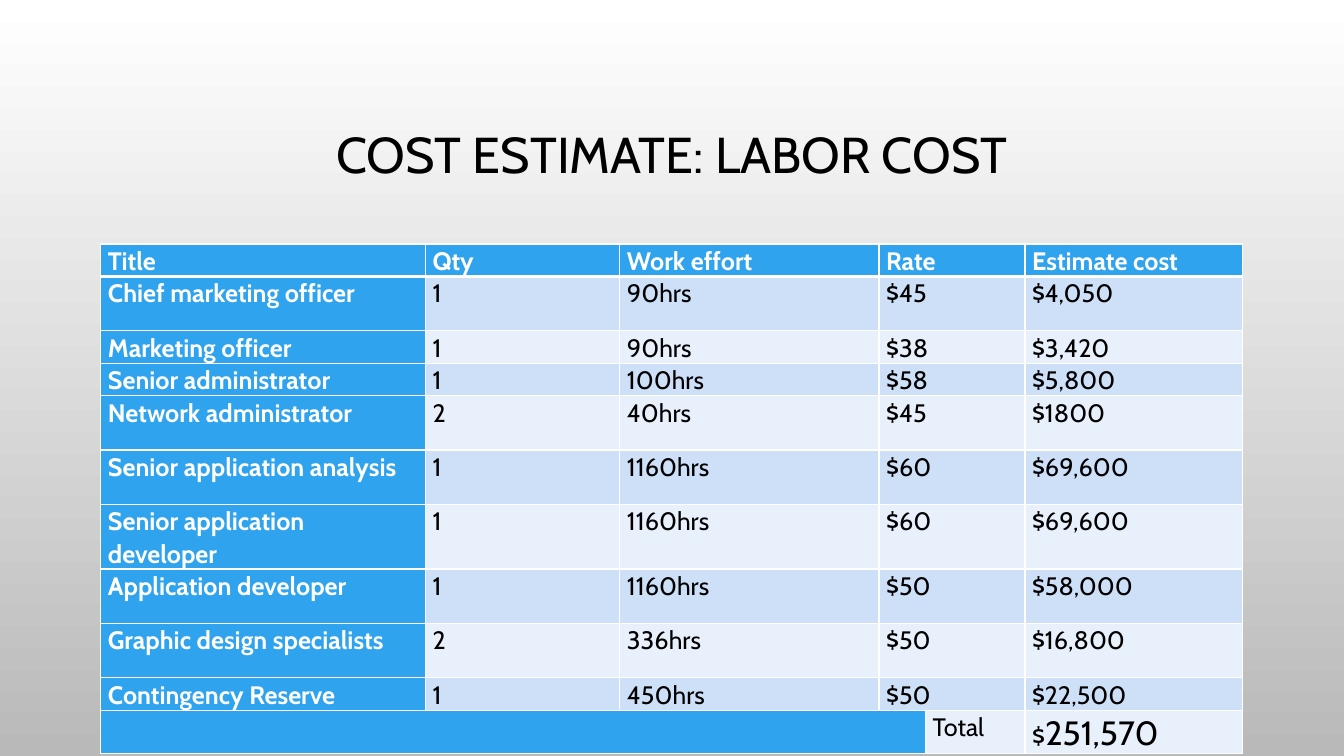
from pptx import Presentation
from pptx.dml.color import RGBColor
from pptx.enum.text import MSO_ANCHOR, PP_ALIGN
from pptx.oxml.ns import qn
from pptx.util import Cm, Pt
from lxml.etree import SubElement

# Content
TITLE = "COST ESTIMATE: LABOR COST"
HEADER = ("Title", "Qty", "Work effort", "Rate", "Estimate cost")
LABOR = [
    ("Chief marketing officer", "1", "90hrs", "$45", "$4,050"),
    ("Marketing officer", "1", "90hrs", "$38", "$3,420"),
    ("Senior administrator", "1", "100hrs", "$58", "$5,800"),
    ("Network administrator", "2", "40hrs", "$45", "$1800"),
    ("Senior application analysis", "1", "1160hrs", "$60", "$69,600"),
    ("Senior application developer", "1", "1160hrs", "$60", "$69,600"),
    ("Application developer", "1", "1160hrs", "$50", "$58,000"),
    ("Graphic design specialists", "2", "336hrs", "$50", "$16,800"),
    ("Contingency Reserve", "1", "450hrs", "$50", "$22,500"),
]
TOTAL_LABEL, CURRENCY, TOTAL = "Total", "$", "251,570"

# Look and layout
FONT = "Cabin"
WHITE = RGBColor(0xFF, 0xFF, 0xFF)
BLACK = RGBColor(0x00, 0x00, 0x00)
GRAY = RGBColor(0xB9, 0xB9, 0xB9)
BLUE = RGBColor(0x2F, 0xA3, 0xEE)
BANDS = (RGBColor(0xCD, 0xE0, 0xF8), RGBColor(0xE8, 0xF0, 0xFC))
LEFT, WIDTH = Cm(2.54), Cm(28.78)
COLUMN_WIDTHS = (8.18, 4.9, 6.53, 1.17, 2.51, 5.49)
SINGLE, DOUBLE, LAST = 0.69, 1.37, 0.86
ROW_HEIGHTS = [SINGLE, DOUBLE, SINGLE, SINGLE] + [DOUBLE] * 5 + [SINGLE, LAST]
TEXT_COLUMNS = (0, 1, 2, 3, 5)  # the rate spans columns 3 and 4


def add_run(paragraph, text, size, color, bold=False):
    run = paragraph.add_run()
    run.text = text
    font = run.font
    font.name, font.size, font.bold = FONT, Pt(size), bold
    font.color.rgb = color


def add_borders(cell, top, bottom):
    properties = cell._tc.get_or_add_tcPr()
    for side, points in (("L", 1), ("R", 1), ("T", top), ("B", bottom)):
        line = SubElement(properties, qn("a:ln" + side), w=str(Pt(points)))
        solid = SubElement(line, qn("a:solidFill"))
        SubElement(solid, qn("a:srgbClr"), val=str(WHITE))


def write_cell(cell, runs, color, bold=False):
    paragraph = cell.text_frame.paragraphs[0]
    paragraph.line_spacing = 1.07
    for text, size in runs:
        add_run(paragraph, text, size, color, bold)


def add_title(slide):
    box = slide.shapes.add_textbox(LEFT, Cm(1.73), WIDTH, Cm(4.44))
    frame = box.text_frame
    frame.word_wrap = True
    frame.vertical_anchor = MSO_ANCHOR.MIDDLE
    paragraph = frame.paragraphs[0]
    paragraph.alignment = PP_ALIGN.CENTER
    paragraph.line_spacing = 0.9
    add_run(paragraph, TITLE, 36, BLACK)


def add_cost_table(slide):
    last = len(ROW_HEIGHTS) - 1
    table = slide.shapes.add_table(
        len(ROW_HEIGHTS), len(COLUMN_WIDTHS), LEFT, Cm(6.15), WIDTH, Cm(sum(ROW_HEIGHTS))
    ).table
    table.first_col = True
    for column, width in zip(table.columns, COLUMN_WIDTHS):
        column.width = Cm(width)
    for row, height in zip(table.rows, ROW_HEIGHTS):
        row.height = Cm(height)

    # Fills, borders and insets
    for r in range(last + 1):
        for c in range(len(COLUMN_WIDTHS)):
            cell = table.cell(r, c)
            add_borders(cell, 3 if r == 1 else 1, 3 if r == 0 else 1)
            blue = r == 0 or c == 0 or (r == last and c < 4)
            cell.fill.solid()
            cell.fill.fore_color.rgb = BLUE if blue else BANDS[(r - 1) % 2]
            cell.margin_left = cell.margin_right = Cm(0.18)
            cell.margin_top = cell.margin_bottom = 0

    # Header and labor rows
    for r, values in enumerate([HEADER] + LABOR):
        table.cell(r, 3).merge(table.cell(r, 4))
        for c, text in zip(TEXT_COLUMNS, values):
            heading = r == 0 or c == 0
            write_cell(table.cell(r, c), [(text, 18)], WHITE if heading else BLACK, heading)

    # Total row
    table.cell(last, 0).merge(table.cell(last, 3))
    write_cell(table.cell(last, 4), [(TOTAL_LABEL, 18)], BLACK)
    write_cell(table.cell(last, 5), [(CURRENCY, 18), (TOTAL, 24)], BLACK)


def main():
    presentation = Presentation()
    presentation.slide_width, presentation.slide_height = Cm(33.87), Cm(19.05)
    slide = presentation.slides.add_slide(presentation.slide_layouts[6])

    # Background fading downwards
    background = slide.background.fill
    background.gradient()
    background.gradient_angle = 270
    for stop, color in zip(background.gradient_stops, (WHITE, GRAY)):
        stop.color.rgb = color

    add_title(slide)
    add_cost_table(slide)
    presentation.save("out.pptx")


if __name__ == "__main__":
    main()
